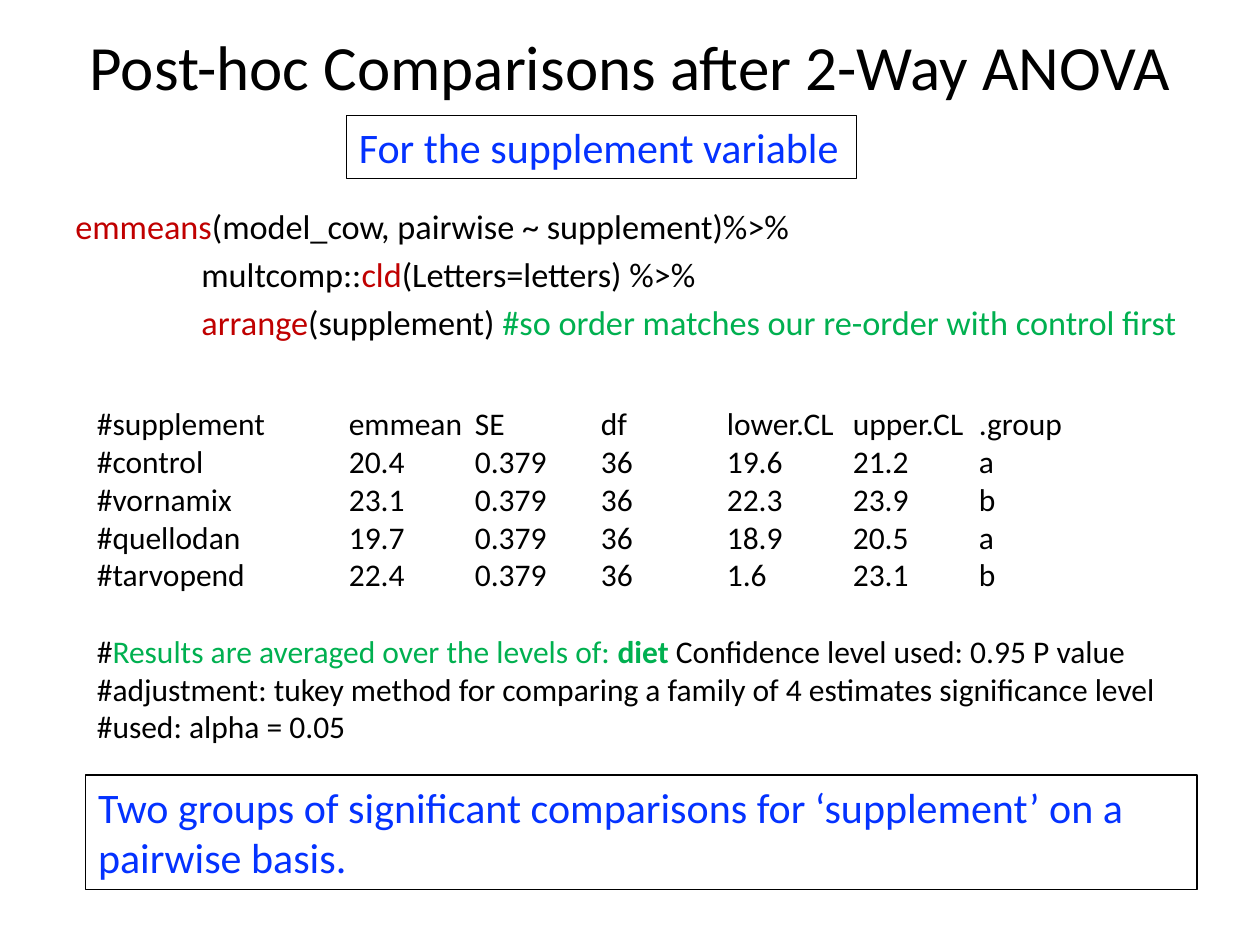
"""Build a slide on post-hoc comparisons for the supplement variable."""
import pptx
import pptx.dml.color
import pptx.enum.text
import pptx.oxml.ns
import pptx.util
from lxml import etree

W, H = 10, 7.5
FONT = "Calibri"
COLORS = {"text": "000000", "function": "C00000", "comment": "00B050", "callout": "0432FF"}

TITLE = "Post-hoc Comparisons after 2-Way ANOVA"
TOPIC = "For the supplement variable"
CONCLUSION = "Two groups of significant comparisons for ‘supplement’ on a pairwise basis."
CODE = [
    [("emmeans", "function"), "(model_cow, pairwise ~ supplement)%>%"],
    ["\tmultcomp::", ("cld", "function"), "(Letters=letters) %>%"],
    ["\t", ("arrange", "function"), "(supplement) ",
     ("#so order matches our re-order with control first", "comment")],
]
RESULTS = [
    ("#supplement", "emmean", "SE", "df", "lower.CL", "upper.CL", ".group"),
    ("#control", "20.4", "0.379", "36", "19.6", "21.2", "a"),
    ("#vornamix", "23.1", "0.379", "36", "22.3", "23.9", "b"),
    ("#quellodan", "19.7", "0.379", "36", "18.9", "20.5", "a"),
    ("#tarvopend", "22.4", "0.379", "36", "1.6", "23.1", "b"),
]
NOTES = ["#", ("Results are averaged over the levels of: ", "comment"), ("diet ", "comment", True),
         "Confidence level used: 0.95 P value #adjustment: tukey method for comparing "
         "a family of 4 estimates significance level #used: alpha = 0.05"]


def rgb(name):
    return pptx.dml.color.RGBColor.from_string(COLORS[name])


def add_text(slide, paragraphs, box, size=18, color="text", align="LEFT", anchor="TOP",
             before=0, last_before=None, tabs=(), border=False):
    """Add paragraphs of runs in a box given as percentages of the slide."""
    sp = slide.shapes.add_textbox(*(pptx.util.Inches(share * side / 100)
                                    for share, side in zip(box, (W, H, W, H))))
    if border:
        sp.line.color.rgb = rgb("text")
        sp.line.width = pptx.util.Pt(0.75)
    tf = sp.text_frame
    tf.word_wrap = True
    tf.vertical_anchor = getattr(pptx.enum.text.MSO_ANCHOR, anchor)
    for i, runs in enumerate(paragraphs):
        p = tf.paragraphs[0] if i == 0 else tf.add_paragraph()
        p.alignment = getattr(pptx.enum.text.PP_ALIGN, align)
        is_last = i == len(paragraphs) - 1
        p.space_before = pptx.util.Pt(last_before if is_last and last_before else before)
        if tabs:
            qn = pptx.oxml.ns.qn
            stops = etree.SubElement(p._p.get_or_add_pPr(), qn("a:tabLst"))
            for stop in tabs:
                etree.SubElement(stops, qn("a:tab"), pos=str(pptx.util.Inches(stop)), algn="l")
        for run in runs:
            text, tint, bold = (run, color, False) if isinstance(run, str) else (*run, False)[:3]
            r = p.add_run()
            r.text = text
            r.font.name = FONT
            r.font.size = pptx.util.Pt(size)
            r.font.bold = bold
            r.font.color.rgb = rgb(tint)


def main():
    prs = pptx.Presentation()
    prs.slide_width, prs.slide_height = pptx.util.Inches(W), pptx.util.Inches(H)
    slide = prs.slides.add_slide(prs.slide_layouts[6])
    rows = [["\t".join(row)] for row in RESULTS]
    add_text(slide, [[TITLE]], (5, 0, 90, 13.73), size=36, align="CENTER", anchor="MIDDLE")
    add_text(slide, CODE, (5, 21.07, 92.5, 18.93), size=19.6, before=3.9, tabs=[1])
    add_text(slide, [[TOPIC]], (27.5, 12.2, 40.5, 6.7), size=24, color="callout", border=True)
    add_text(slide, rows + [NOTES], (6.7, 42.13, 89.2, 37.73), last_before=22,
             tabs=range(2, 1 + len(RESULTS[0])))
    add_text(slide, [[CONCLUSION]], (6.8, 82, 88.2, 12.1), size=24, color="callout", border=True)
    prs.save("out.pptx")


if __name__ == "__main__":
    main()
